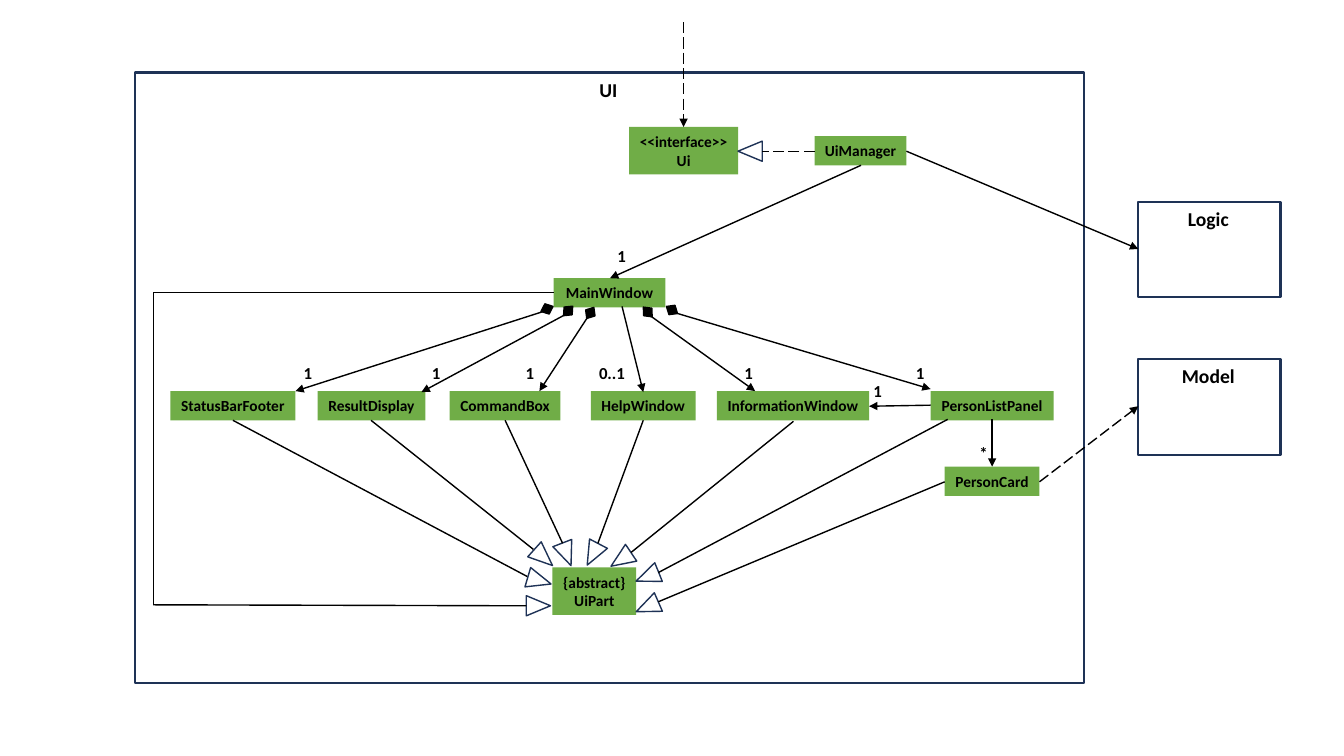
import pptx
import pptx.util
import pptx.dml.color
import pptx.enum.dml
import pptx.enum.shapes
import pptx.enum.text
import pptx.oxml
import pptx.oxml.ns

Inches = pptx.util.Inches
KIND = pptx.enum.shapes.MSO_SHAPE
BLACK, NAVY, GREEN = "000000", "1E3256", "70AD47"


def paint(part, color):
    """Give a fill, line or font colour from a hex string."""
    part.rgb = pptx.dml.color.RGBColor.from_string(color)


def shape(slide, kind, box, fill=None, line=None, width=1, turn=0):
    """Add a preset shape with an optional fill, outline and rotation."""
    item = slide.shapes.add_shape(kind, *map(Inches, box))
    item.shadow.inherit = False
    item.rotation = turn
    if fill:
        item.fill.solid()
        paint(item.fill.fore_color, fill)
    else:
        item.fill.background()
    if line:
        paint(item.line.color, line)
        item.line.width = pptx.util.Pt(width)
    else:
        item.line.fill.background()
    return item


def write(item, text, size):
    """Set centred bold text that does not wrap."""
    frame = item.text_frame
    frame.text = text
    frame.word_wrap = False
    frame.auto_size = pptx.enum.text.MSO_AUTO_SIZE.SHAPE_TO_FIT_TEXT
    for para in frame.paragraphs:
        para.alignment = pptx.enum.text.PP_ALIGN.CENTER
        for run in para.runs:
            run.font.name = "Calibri"
            run.font.size = pptx.util.Pt(size)
            run.font.bold = True
            paint(run.font.color, BLACK)


def label(slide, box, text, size=12):
    """Add a plain text label."""
    write(slide.shapes.add_textbox(*map(Inches, box)), text, size)


def node(slide, box, text):
    """Add a green class box."""
    write(shape(slide, KIND.RECTANGLE, box, GREEN), text, 11)


def link(slide, x, y, start, end, arrow=True, dash=False):
    """Join two points given relative to x and y."""
    ends = (x + start[0], y + start[1], x + end[0], y + end[1])
    line = slide.shapes.add_connector(
        pptx.enum.shapes.MSO_CONNECTOR.STRAIGHT, *map(Inches, ends))
    paint(line.line.color, BLACK)
    line.line.width = pptx.util.Pt(1)
    if dash:
        line.line.dash_style = pptx.enum.dml.MSO_LINE.LONG_DASH
    if arrow:
        tail = pptx.oxml.parse_xml(
            f'<a:tailEnd {pptx.oxml.ns.nsdecls("a")} type="triangle"/>')
        line.line._get_or_add_ln().append(tail)
    props = line._element.spPr
    props.append(props.makeelement(pptx.oxml.ns.qn("a:effectLst"), {}))


def head(slide, x, y, turn):
    """Add a hollow inheritance arrowhead."""
    shape(slide, KIND.ISOSCELES_TRIANGLE, (x, y, 0.2, 0.24), None, NAVY, 1, turn)


def frame(slide, x, y, w, h, name):
    """Draw a component outline with its name at the top."""
    shape(slide, KIND.RECTANGLE, (x, y, w, h), None, NAVY, 1.5)
    label(slide, (x + w / 2 - 0.51, y, 1, 0.34), name, 14)


def entry(slide, x, y):
    """Draw the interface, its manager and the main window."""
    node(slide, (x + 0.75, y, 1.08, 0.47), "<<interface>>\nUi")
    node(slide, (x + 2.59, y + 0.09, 0.91, 0.29), "UiManager")
    node(slide, (x, y + 1.5, 1.11, 0.29), "MainWindow")
    head(slide, x + 1.85, y + 0.12, 270)
    link(slide, x, y, (2.59, 0.24), (2.07, 0.24), arrow=False, dash=True)
    link(slide, x, y, (1.29, -1.04), (1.29, 0), dash=True)
    link(slide, x, y, (3.5, 0.24), (5.8, 1.21))
    link(slide, x, y, (3.05, 0.38), (0.56, 1.5))
    label(slide, (x + 0.53, y + 1.13, 0.29, 0.3), "1")


def panels(slide, x, y):
    """Draw the row of window parts and their links to the main window."""
    parts = [
        ("StatusBarFooter", 0, 1.24, (3.70, -0.79), (1.24, 0), 1.22, "1"),
        ("ResultDisplay", 1.46, 1.07, (3.90, -0.75), (2.49, 0.01), 2.49, "1"),
        ("CommandBox", 2.77, 1.10, (4.13, -0.72), (3.66, 0), 3.42, "1"),
        ("HelpWindow", 4.17, 1.04, (4.48, -0.84), (4.69, 0.01), 4.15, "0..1"),
        ("InformationWindow", 5.42, 1.51, (4.77, -0.74), (5.8, 0), 5.59, "1"),
        ("PersonListPanel", 7.54, 1.22, (5.03, -0.77), (7.54, -0.02), 7.29, "1"),
    ]
    for name, left, wide, start, end, spot, count in parts:
        node(slide, (x + left, y, wide, 0.29), name)
        link(slide, x, y, start, end)
        label(slide, (x + spot, y - 0.33, 0.46 if len(count) > 1 else 0.29, 0.3), count)
    gems = [(3.68, -0.88, 67.5), (3.89, -0.86, 44), (4.11, -0.84, 32.6),
            (4.68, -0.85, 317.5), (4.92, -0.87, 302.7)]
    for left, top, turn in gems:
        shape(slide, KIND.DIAMOND, (x + left, y + top, 0.11, 0.13), BLACK, BLACK, 1, turn)
    node(slide, (x + 7.68, y + 0.75, 0.94, 0.29), "PersonCard")
    link(slide, x, y, (8.15, 0.28), (8.15, 0.75))
    label(slide, (x + 7.92, y + 0.46, 0.29, 0.3), "*")
    link(slide, x, y, (8.62, 0.9), (9.6, 0.15), dash=True)
    link(slide, x, y, (7.54, 0.14), (6.93, 0.15))
    label(slide, (x + 6.87, y - 0.15, 0.29, 0.3), "1")


def base(slide, x, y):
    """Draw the abstract part and the inheritance links that reach it."""
    node(slide, (x, y, 0.83, 0.47), "{abstract}\nUiPart")
    heirs = [
        (-0.23, 0.01, 106.3, (-0.25, 0.09), (-3.17, -1.46)),
        (-0.19, -0.22, 131.9, (-0.19, -0.18), (-1.8, -1.46)),
        (0.04, -0.25, 158.8, (0.1, -0.24), (-0.47, -1.46)),
        (0.3, -0.25, 207.7, (0.45, -0.24), (0.9, -1.46)),
        (0.58, -0.2, 236.1, (0.78, -0.15), (2.39, -1.45)),
        (0.84, -0.03, 248.1, (1.05, 0.05), (3.92, -1.47)),
        (0.84, 0.27, 246.4, (1.05, 0.34), (3.89, -0.85)),
        (-0.24, 0.26, 90, (-0.26, 0.38), (-3.96, 0.37)),
    ]
    for left, top, turn, start, end in heirs:
        head(slide, x + left, y + top, turn)
        link(slide, x, y, start, end, arrow=False)
    link(slide, x, y, (-3.96, 0.37), (-3.96, -2.73), arrow=False)
    link(slide, x, y, (-3.96, -2.73), (0.01, -2.73), arrow=False)


def main():
    """Build the class diagram slide and save it."""
    deck = pptx.Presentation()
    deck.slide_width, deck.slide_height = Inches(13.33), Inches(7.5)
    slide = deck.slides.add_slide(deck.slide_layouts[6])
    frame(slide, 1.34, 0.72, 9.41, 6.06, "UI")
    frame(slide, 11.29, 2, 1.41, 0.95, "Logic")
    frame(slide, 11.29, 3.56, 1.41, 0.95, "Model")
    entry(slide, 5.49, 1.26)
    panels(slide, 1.69, 3.88)
    base(slide, 5.48, 5.63)
    deck.save("out.pptx")


main()
